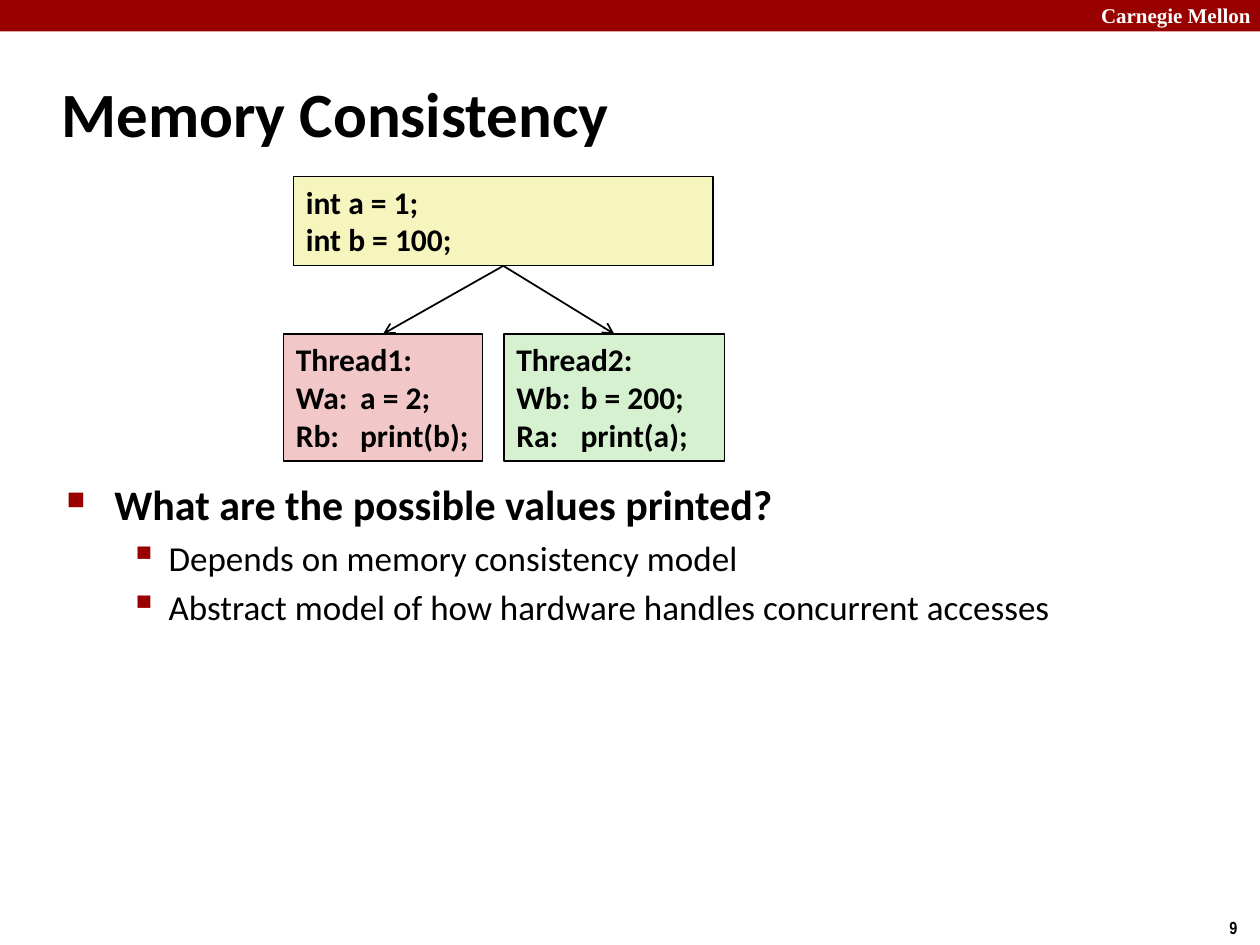
import pptx
import pptx.dml.color
import pptx.enum.shapes
import pptx.enum.text
import pptx.oxml
import pptx.oxml.ns
import pptx.util
from pptx.util import Inches

THEME = {
    "font": "Calibri", "header_font": "Times New Roman", "number_font": "Arial Narrow",
    "text": "000000", "accent": "990000", "light": "FFFFFF",
    "shared": "F6F5BD", "thread1": "F1C7C7", "thread2": "D5F1CF",
    "title_size": 36, "question_size": 24, "detail_size": 20,
    "code_size": 18, "header_size": 12, "number_size": 10,
}

HEADER = "Carnegie Mellon"
PAGE_NUMBER = "9"
TITLE = "Memory Consistency"
# name: (lines, left, top, width, height)
CODE_BOXES = {
    "shared": (["int a = 1;", "int b = 100;"], 2.33, 1.4, 3.33, 0.71),
    "thread1": (["Thread1:", "Wa:\ta = 2;", "Rb: \tprint(b);"], 2.25, 2.65, 1.58, 1.01),
    "thread2": (["Thread2:", "Wb:\tb = 200;", "Ra:\tprint(a);"], 4, 2.65, 1.75, 1.01),
}
ARROWS = [("shared", "thread1"), ("shared", "thread2")]
# (level, text)
BULLETS = [
    (0, "What are the possible values printed?"),
    (1, "Depends on memory consistency model"),
    (1, "Abstract model of how hardware handles concurrent accesses"),
]
# level: (character, size percent, left margin, hanging indent, type size, bold)
BULLET_STYLES = [
    ("■", 60, 0.38, 0.38, THEME["question_size"], True),
    ("▪", 110, 0.81, 0.31, THEME["detail_size"], False),
]
TAB_STOP = 0.51


def color(name):
    return pptx.dml.color.RGBColor.from_string(THEME[name])


def append_xml(parent, tag, **attributes):
    element = pptx.oxml.ns.qn(tag)
    child = parent.makeelement(element, attributes)
    parent.append(child)
    return child


def format_runs(paragraph, size, font="font", ink="text", bold=True):
    for run in paragraph.runs:
        run.font.name = THEME[font]
        run.font.size = pptx.util.Pt(size)
        run.font.bold = bold
        run.font.color.rgb = color(ink)


def add_text(slide, text, box, size, wrap=True, **style):
    shape = slide.shapes.add_textbox(*map(Inches, box))
    frame = shape.text_frame
    frame.word_wrap = wrap
    frame.text = text
    for paragraph in frame.paragraphs:
        format_runs(paragraph, size, **style)
    return shape


def add_rectangle(slide, box, fill):
    shape = slide.shapes.add_shape(
        pptx.enum.shapes.MSO_SHAPE.RECTANGLE, *map(Inches, box))
    shape.shadow.inherit = False
    shape.fill.solid()
    shape.fill.fore_color.rgb = color(fill)
    shape.line.fill.background()
    return shape


def add_code_box(slide, name):
    lines, *box = CODE_BOXES[name]
    shape = add_rectangle(slide, box, name)
    shape.line.color.rgb = color("text")
    shape.line.width = pptx.util.Pt(0.75)
    frame = shape.text_frame
    frame.word_wrap = True
    frame.vertical_anchor = pptx.enum.text.MSO_ANCHOR.TOP
    frame.text = "\n".join(lines)
    for paragraph in frame.paragraphs:
        paragraph.alignment = pptx.enum.text.PP_ALIGN.LEFT
        if name != "shared":
            tabs = append_xml(paragraph._p.get_or_add_pPr(), "a:tabLst")
            append_xml(tabs, "a:tab", pos=str(Inches(TAB_STOP)), algn="l")
        format_runs(paragraph, THEME["code_size"])
    return shape


def add_arrow(slide, source, target):
    """Join the bottom of source to the top of target."""
    connector = slide.shapes.add_connector(
        pptx.enum.shapes.MSO_CONNECTOR.STRAIGHT, 0, 0, 0, 0)
    connector.begin_connect(source, 2)
    connector.end_connect(target, 0)
    connector.line.color.rgb = color("text")
    connector.line.width = pptx.util.Pt(1)
    append_xml(connector.line._get_or_add_ln(), "a:tailEnd", type="arrow")
    append_xml(connector._element.spPr, "a:effectLst")


def add_bullets(slide, box):
    text = "\n".join(text for _, text in BULLETS)
    frame = add_text(slide, text, box, THEME["detail_size"]).text_frame
    for index, (paragraph, (level, _)) in enumerate(zip(frame.paragraphs, BULLETS)):
        character, percent, margin, hanging, size, bold = BULLET_STYLES[level]
        paragraph.level = level
        properties = paragraph._p.get_or_add_pPr()
        properties.set("marL", str(Inches(margin)))
        properties.set("indent", str(-Inches(hanging)))
        bullet_color = append_xml(properties, "a:buClr")
        append_xml(bullet_color, "a:srgbClr", val=THEME["accent"])
        append_xml(properties, "a:buSzPct", val=str(percent * 1000))
        append_xml(properties, "a:buChar", char=character)
        if index:
            paragraph.space_before = pptx.util.Pt(size * 0.2)
        format_runs(paragraph, size, bold=bold)


def main():
    presentation = pptx.Presentation()
    presentation.slide_width = Inches(10)
    presentation.slide_height = Inches(7.5)
    slide = presentation.slides.add_slide(presentation.slide_layouts[6])

    add_rectangle(slide, (0, 0, 10, 0.25), "accent")
    add_text(slide, HEADER, (8.64, -0.03, 1.43, 0.3), THEME["header_size"],
             font="header_font", ink="light")
    add_text(slide, PAGE_NUMBER, (9.66, 7.23, 0.34, 0.27), THEME["number_size"],
             wrap=False, font="number_font")
    title = add_text(slide, TITLE, (0.39, 0.48, 8.3, 0.83), THEME["title_size"])
    title.text_frame.vertical_anchor = pptx.enum.text.MSO_ANCHOR.MIDDLE
    add_bullets(slide, (0.43, 3.75, 8.64, 3.18))

    boxes = {name: add_code_box(slide, name) for name in CODE_BOXES}
    for source, target in ARROWS:
        add_arrow(slide, boxes[source], boxes[target])

    presentation.save("out.pptx")


if __name__ == "__main__":
    main()
